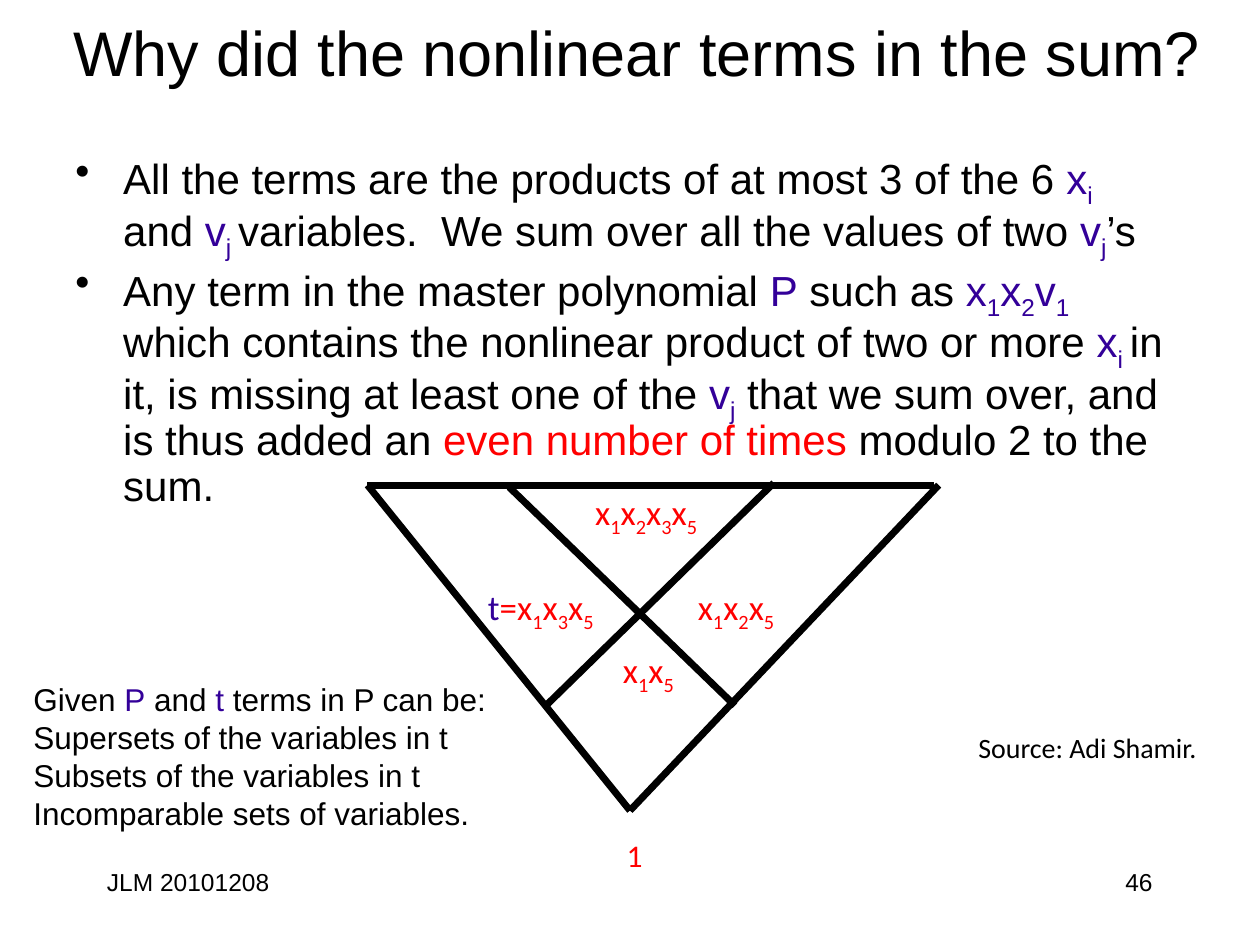
from lxml import etree
from pptx import Presentation
from pptx.dml.color import RGBColor
from pptx.enum.shapes import MSO_CONNECTOR
from pptx.enum.text import MSO_ANCHOR, MSO_AUTO_SIZE, PP_ALIGN
from pptx.oxml.ns import qn
from pptx.util import Inches, Pt

LEFT, MID, RIGHT = PP_ALIGN.LEFT, PP_ALIGN.CENTER, PP_ALIGN.RIGHT
TOP, CENTER = MSO_ANCHOR.TOP, MSO_ANCHOR.MIDDLE
FIT, FIXED = MSO_AUTO_SIZE.SHAPE_TO_FIT_TEXT, MSO_AUTO_SIZE.NONE
STRAIGHT = MSO_CONNECTOR.STRAIGHT
BLACK, BLUE, RED = "000000", "330099", "FF0000"
COLS, ROWS = 120, 90


def color(code):
    return RGBColor.from_string(code)


def ink(text):
    return text, BLACK, False


def term(name, sub="", tint=BLUE):
    """Runs for a variable and its subscript."""
    runs = [(name, tint, False)]
    return runs + [(sub, tint, True)] if sub else runs


def product(digits):
    """Runs for a red product of x variables with the given subscripts."""
    return [run for digit in digits for run in term("x", digit, RED)]


class Board:
    """Draws on one slide, with places given in grid columns and rows."""

    def __init__(self, deck):
        self.slide = deck.slides.add_slide(deck.slide_layouts[6])
        self.col = deck.slide_width / COLS
        self.row = deck.slide_height / ROWS

    def spot(self, x, y):
        return round(x * self.col), round(y * self.row)

    def text(self, x, y, wide, high, paras, size, font="Arial", align=LEFT,
             anchor=TOP, wrap=True, fit=FIXED, bullet=False):
        box = self.slide.shapes.add_textbox(*self.spot(x, y), *self.spot(wide, high))
        frame = box.text_frame
        frame.word_wrap, frame.auto_size = wrap, fit
        frame.vertical_anchor = anchor
        for i, runs in enumerate(paras):
            para = frame.add_paragraph() if i else frame.paragraphs[0]
            para.alignment = align
            if bullet:
                self.bullet(para)
                para.line_spacing = 0.9
                para.space_before = Pt(0.2 * size if i else 0)
            for words, tint, low in runs:
                self.run(para, words, tint, low, size, font)

    def run(self, para, words, tint, low, size, font):
        run = para.add_run()
        run.text = words
        run.font.size, run.font.name = Pt(size), font
        run.font.color.rgb = color(tint)
        if low:
            run.font._element.set("baseline", "-25000")

    def bullet(self, para):
        props = para._p.get_or_add_pPr()
        props.set("marL", str(Inches(0.38)))
        props.set("indent", str(-Inches(0.38)))
        etree.SubElement(props, qn("a:buChar")).set("char", "•")

    def label(self, x, y, wide, runs):
        self.text(x, y, wide, 5.3, [runs], 20, "Calibri", MID, wrap=False, fit=FIT)

    def line(self, start, end):
        line = self.slide.shapes.add_connector(
            STRAIGHT, *self.spot(*start), *self.spot(*end))
        line.line.color.rgb = color(BLACK)
        line.line.width = Pt(4)
        etree.SubElement(line._element.spPr, qn("a:effectLst"))


def main():
    deck = Presentation()
    deck.slide_width, deck.slide_height = Inches(10), Inches(7.5)
    board = Board(deck)

    board.text(4, 0, 113.3, 9.7, [[ink("Why did the nonlinear terms in the sum?")]],
               36, align=MID, anchor=CENTER)
    points = [
        [ink("All the terms are the products of at most 3 of the 6 "),
         *term("x", "i "), ink("and "), *term("v", "j "),
         ink("variables.  We sum over all the values of two "),
         *term("v", "j"), ink("’s")],
        [ink("Any term in the master polynomial "), *term("P"), ink(" such as "),
         *term("x", "1"), *term("x", "2"), *term("v", "1"),
         ink(" which contains the nonlinear product of two or more "),
         *term("x", "i "), ink("in it, is missing at least one of the "),
         *term("v", "j"), ink(" that we sum over, and is thus added an "),
         *term("even number of times", tint=RED), ink(" modulo 2 to the sum.")],
    ]
    board.text(6, 14, 106.3, 33, points, 24, bullet=True)

    foot, base = 82, (24.96, 6)
    board.text(9, foot, *base, [[ink("JLM 20101208")]], 14)
    board.text(86, foot, *base, [[ink("46")]], 14, align=RIGHT)
    board.text(92, 69, 23.4, 4.4, [[ink("Source: Adi Shamir.")]],
               16, "Calibri", wrap=False, fit=FIT)

    rim, tip = 46.2, (60, 77.2)
    for start, end in [
        (tip, (35, rim)), (tip, (89.4, rim)),
        ((52, 67.2), (73.7, 46)), ((70, 67.2), (48.5, 46.4)),
        ((89, rim), (35, rim)),
    ]:
        board.line(start, end)

    board.label(45, 55.2, 13, term("t") + term("=", tint=RED) + product("135"))
    board.label(58, 61.2, 7.5, product("15"))
    board.label(55.2, 46.1, 12.7, product("1235"))
    board.label(65, 55.2, 10.2, product("125"))
    board.text(56, 79, 8.9, 4.8, [term("1", tint=RED)], 18, "Calibri", MID, fit=FIT)

    notes = [
        [ink("Given "), *term("P"), ink(" and "), *term("t"),
         ink(" terms in P can be:")],
        [ink("Supersets of the variables in t")],
        [ink("Subsets of the variables in t")],
        [ink("Incomparable sets of variables.")],
    ]
    board.text(2, 64.2, 47, 15.7, notes, 18, fit=FIT)
    deck.save("out.pptx")


if __name__ == "__main__":
    main()
